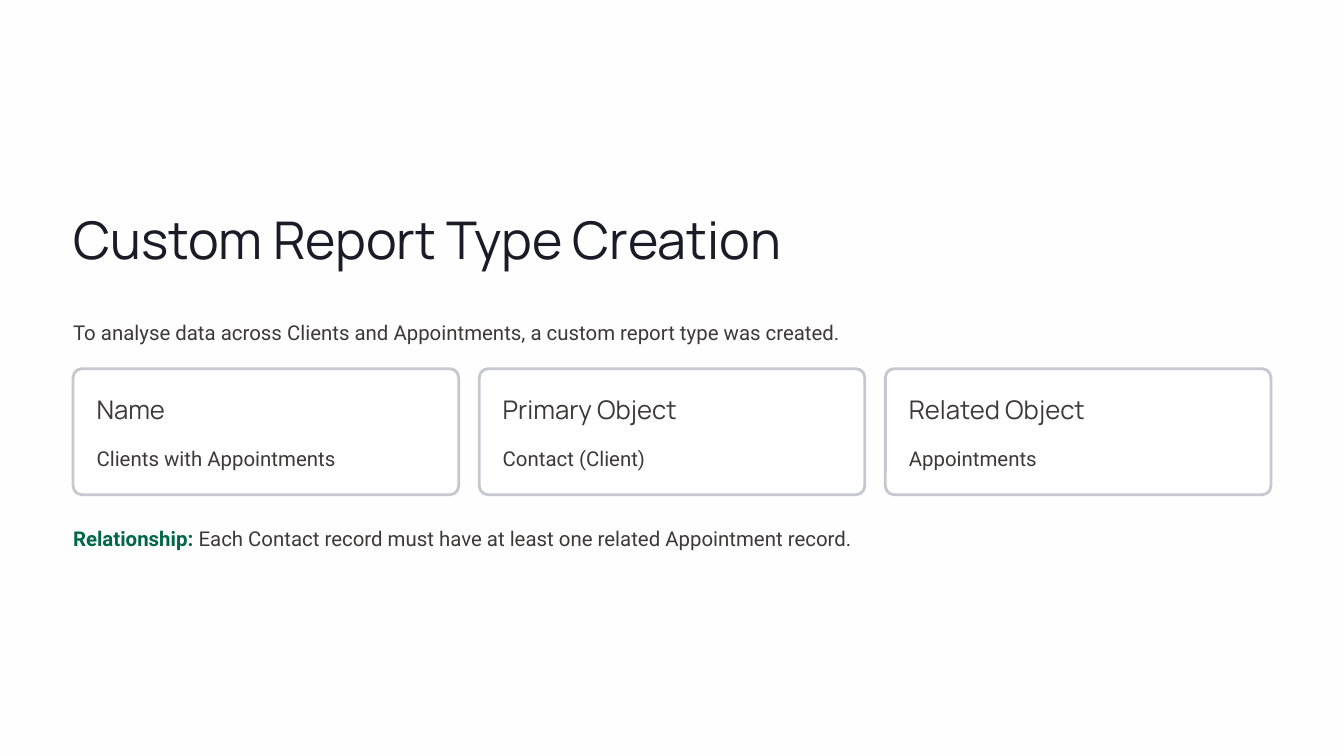
from dataclasses import dataclass
from pptx import Presentation
from pptx.dml.color import RGBColor as RGB
from pptx.enum.shapes import MSO_SHAPE as Shape
from pptx.util import Pt


@dataclass(frozen=True)
class Theme:
    back: RGB = RGB.from_string("FEFEFE")
    card: RGB = RGB.from_string("FFFFFF")
    edge: RGB = RGB.from_string("C7C7D0")
    dark: RGB = RGB.from_string("1B1B27")
    body: RGB = RGB.from_string("3C3939")
    green: RGB = RGB.from_string("006747")
    # Each style: font, size, line spacing
    title: tuple = ("Manrope", 44.5, 55.5)
    head: tuple = ("Manrope", 22, 27.5)
    text: tuple = ("Roboto", 17.5, 28.5)


THEME = Theme()
LEFT, WIDTH = 62.64, 1026.72
GAP, PAD = 17.64, 20.16
CARDS = [
    ("Name", "Clients with Appointments"),
    ("Primary Object", "Contact (Client)"),
    ("Related Object", "Appointments"),
]


def add_text(slide, box, style, *runs):
    """Place one line of text; each run is (words, colour, bold)."""
    frame = slide.shapes.add_textbox(*map(Pt, box)).text_frame
    frame.word_wrap = False
    frame.margin_left = frame.margin_right = 0
    frame.margin_top = frame.margin_bottom = 0
    face, size, lead = style
    line = frame.paragraphs[0]
    line.line_spacing = Pt(lead)
    for words, color, bold in runs:
        run = line.add_run()
        run.text = words
        run.font.name = face
        run.font.size = Pt(size)
        run.font.bold = bold
        run.font.color.rgb = color


def add_card(slide, box, head, text):
    left, top, width, height = box
    card = slide.shapes.add_shape(Shape.ROUNDED_RECTANGLE, *map(Pt, box))
    card.adjustments[0] = 0.07
    card.shadow.inherit = False
    card.fill.solid()
    card.fill.fore_color.rgb = THEME.card
    card.line.color.rgb = THEME.edge
    card.line.width = Pt(2.4)
    inner = width - 2 * PAD
    add_text(slide, (left + PAD, top + PAD, 223.2, 28.08), THEME.head,
             (head, THEME.body, False))
    add_text(slide, (left + PAD, top + 59.04, inner, 28.8), THEME.text,
             (text, THEME.body, False))


def add_cards(slide, box):
    """Share the box's width equally among the cards."""
    left, top, width, height = box
    each = (width - GAP * (len(CARDS) - 1)) / len(CARDS)
    for i, (head, text) in enumerate(CARDS):
        add_card(slide, (left + i * (each + GAP), top, each, height), head, text)


def main():
    deck = Presentation()
    deck.slide_width, deck.slide_height = Pt(1152), Pt(648)
    slide = deck.slides.add_slide(deck.slide_layouts[6])
    slide.background.fill.solid()
    slide.background.fill.fore_color.rgb = THEME.back

    add_text(slide, (LEFT, 175.68, 607.68, 56.16), THEME.title,
             ("Custom Report Type Creation", THEME.dark, False))
    add_text(slide, (LEFT, 267.12, WIDTH, 28.8), THEME.text,
             ("To analyse data across Clients and Appointments, "
              "a custom report type was created.", THEME.body, False))
    add_cards(slide, (LEFT, 316.08, WIDTH, 108))
    add_text(slide, (LEFT, 443.52, WIDTH, 28.8), THEME.text,
             ("Relationship:", THEME.green, True),
             (" Each Contact record must have at least one related "
              "Appointment record.", THEME.body, False))
    deck.save("out.pptx")


if __name__ == "__main__":
    main()
